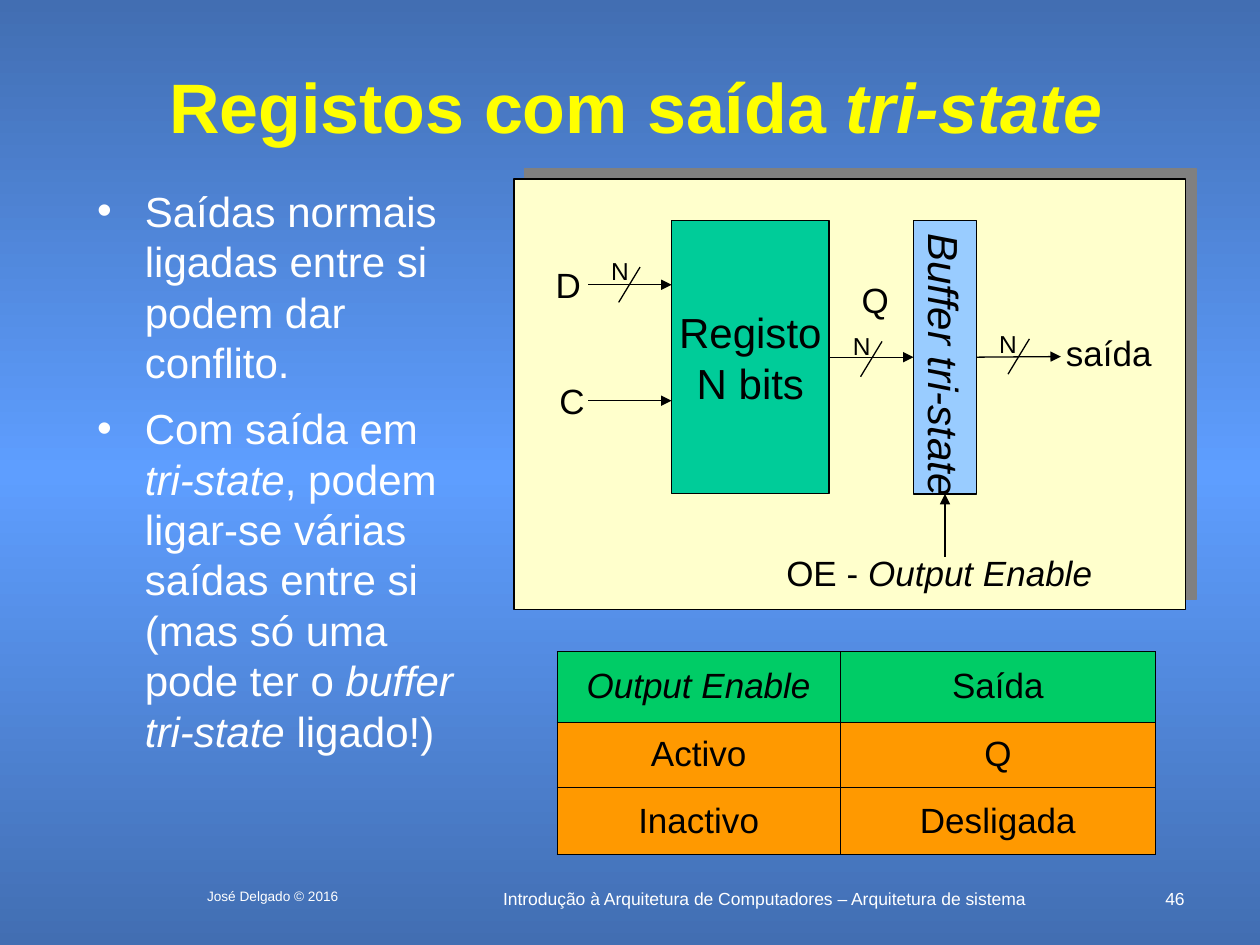
import copy

import pptx
from lxml import etree
from pptx.dml.color import RGBColor
from pptx.enum.shapes import MSO_CONNECTOR, MSO_SHAPE
from pptx.enum.text import MSO_ANCHOR, PP_ALIGN
from pptx.oxml.ns import qn
from pptx.util import Inches, Pt

WHITE = RGBColor(0xFF, 0xFF, 0xFF)
BLACK = RGBColor(0, 0, 0)
YELLOW = RGBColor(0xFF, 0xFF, 0x00)
CREAM = RGBColor(0xFF, 0xFF, 0xCC)
TEAL = RGBColor(0x00, 0xCC, 0x99)
SKY = RGBColor(0x99, 0xCC, 0xFF)
GREEN = RGBColor(0x00, 0xCC, 0x66)
ORANGE = RGBColor(0xFF, 0x99, 0x00)
DEEP_BLUE = RGBColor(0x42, 0x6E, 0xB2)
BRIGHT_BLUE = RGBColor(0x5E, 0x9E, 0xFF)

# Content: a paragraph is a list of (text, italic) spans
TITLE = [("Registos com saída ", False), ("tri-state", True)]
BULLETS = [
    [("Saídas normais ligadas entre si podem dar conflito.", False)],
    [("Com saída em ", False), ("tri-state", True),
     (", podem ligar-se várias saídas entre si (mas só uma pode ter o ", False),
     ("buffer tri-state", True), (" ligado!)", False)],
]
FOOTERS = [  # text, place, size, alignment
    ("José Delgado © 2016", (1.33, 7, 1.67, 0.25), 7.8, PP_ALIGN.CENTER),
    ("Introdução à Arquitetura de Computadores – Arquitetura de sistema",
     (3.33, 7, 5.47, 0.25), 10, PP_ALIGN.CENTER),
    ("46", (9.08, 7, 0.42, 0.17), 10, PP_ALIGN.RIGHT),
]
SIGNALS = [  # spans, place
    ([("D", False)], (4.31, 2.04, 0.4, 0.44)),
    ([("C", False)], (4.34, 2.96, 0.4, 0.44)),
    ([("Q", False)], (6.74, 2.16, 0.41, 0.44)),
    ([("saída", False)], (8.36, 2.58, 0.88, 0.44)),
    ([("OE - ", False), ("Output Enable", True)], (6.14, 4.33, 2.63, 0.44)),
]
BUS_MARKS = [  # top left of the N label, top right of the slash
    ((4.75, 1.98), (5.08, 2.12)),
    ((6.67, 2.58), (7, 2.71)),
    ((7.83, 2.56), (8.17, 2.69)),
]
TABLE = [("Output Enable", "Saída"), ("Activo", "Q"), ("Inactivo", "Desligada")]
COLUMN_WIDTHS = [2.25, 2.5]
ROW_HEIGHTS = [0.56, 0.52, 0.53]


def inches(place):
    return [Inches(value) for value in place]


def write(para, spans, size, color, align=PP_ALIGN.CENTER, bold=False):
    para.alignment = align
    font = para.font
    font.name, font.size, font.bold = "Arial", Pt(size), bold
    font.color.rgb = color
    for text, italic in spans:
        span = para.add_run()
        span.text = text
        if italic:
            span.font.italic = True


def add_label(spans, place, size, color=BLACK, align=PP_ALIGN.CENTER, wrap=False):
    frame = page.shapes.add_textbox(*inches(place)).text_frame
    frame.word_wrap = wrap
    write(frame.paragraphs[0], spans, size, color, align)


def add_block(place, fill, lines=(), line_width=0.75):
    block = page.shapes.add_shape(MSO_SHAPE.RECTANGLE, *inches(place))
    block.shadow.inherit = False
    block.fill.solid()
    block.fill.fore_color.rgb = fill
    block.line.color.rgb = BLACK
    block.line.width = Pt(line_width)
    frame = block.text_frame
    frame.word_wrap = False
    frame.vertical_anchor = MSO_ANCHOR.MIDDLE
    for index, spans in enumerate(lines):
        para = frame.add_paragraph() if index else frame.paragraphs[0]
        write(para, spans, 24, BLACK)
    return block


def add_wire(start, end, arrow=True):
    wire = page.shapes.add_connector(
        MSO_CONNECTOR.STRAIGHT, *inches(start), *inches(end))
    wire.line.color.rgb = BLACK
    wire.line.width = Pt(0.75)
    if arrow:
        etree.SubElement(wire.line._get_or_add_ln(), qn("a:tailEnd"), type="triangle")
    etree.SubElement(wire.element.spPr, qn("a:effectLst"))
    return wire


deck = pptx.Presentation()
deck.slide_width, deck.slide_height = Inches(10), Inches(7.5)
page = deck.slides.add_slide(deck.slide_layouts[1])

# Background: blue, brightest in the middle
backdrop = page.background.fill
backdrop.gradient()
backdrop.gradient_angle = 270
stop_list = page.element.find(".//" + qn("a:gsLst"))
stop_list.append(copy.deepcopy(stop_list[0]))
for stop, position, color in zip(backdrop.gradient_stops, (0, 0.5, 1),
                                 (DEEP_BLUE, BRIGHT_BLUE, DEEP_BLUE)):
    stop.position = position
    stop.color.rgb = color

# Title and bullet list
title, body = page.placeholders
title.left, title.top, title.width, title.height = inches((0.52, 0.5, 9.05, 0.67))
title.text_frame.vertical_anchor = MSO_ANCHOR.MIDDLE
write(title.text_frame.paragraphs[0], TITLE, 40, YELLOW, bold=True)

body.left, body.top, body.width, body.height = inches((0.67, 1.42, 3.08, 5.17))
for index, spans in enumerate(BULLETS):
    para = body.text_frame.add_paragraph() if index else body.text_frame.paragraphs[0]
    props = para._p.get_or_add_pPr()
    props.set("marL", str(Inches(0.38)))
    props.set("indent", str(Inches(-0.38)))
    bullet_color = etree.SubElement(props, qn("a:buClr"))
    etree.SubElement(bullet_color, qn("a:srgbClr"), val=str(WHITE))
    etree.SubElement(props, qn("a:buChar"), char="•")
    para.space_before = Pt(9 if index else 0)
    write(para, spans, 24, WHITE, PP_ALIGN.LEFT)

# Footer
for text, place, size, align in FOOTERS:
    add_label([(text, False)], place, size, WHITE, align, wrap=True)

# Diagram panel with a hard grey shadow to the upper right
panel = add_block((4.08, 1.42, 5.33, 3.42), CREAM)
effects = panel.element.spPr.find(qn("a:effectLst"))
shadow = etree.SubElement(effects, qn("a:outerShdw"), blurRad="0",
                          dist=str(Pt(8.5)), dir=str(315 * 60000), algn="ctr")
etree.SubElement(shadow, qn("a:srgbClr"), val="808080")

# Register and tri-state buffer
register = add_block((5.33, 1.75, 1.25, 2.17), TEAL,
                     [[("Registo", False)], [("N bits", False)]])
buffer = add_block((7.25, 1.75, 0.5, 2.17), SKY, [[("Buffer tri-state", True)]], 1)
frame = buffer.text_frame
frame.margin_left = frame.margin_right = Inches(0.05)
frame.margin_top = frame.margin_bottom = Inches(0.1)
frame._txBody.bodyPr.set("vert", "eaVert")

# Wires
for y in (2.26, 3.18):
    add_wire((4.67, y), (5.33, y))
data_wire = add_wire((6.58, 2.83), (7.25, 2.83))
data_wire.begin_connect(register, 3)
data_wire.end_connect(buffer, 1)
add_wire((7.75, 2.83), (8.42, 2.83)).begin_connect(buffer, 3)
add_wire((7.5, 4.42), (7.5, 3.92)).end_connect(buffer, 2)

# Signal names and bus widths
for spans, place in SIGNALS:
    add_label(spans, place, 20)
for corner, (x, y) in BUS_MARKS:
    add_wire((x, y), (x - 0.17, y + 0.28), arrow=False)
    add_label([("N", False)], (*corner, 0.34, 0.34), 14)

# Output table
table = page.shapes.add_table(
    len(TABLE), len(COLUMN_WIDTHS),
    *inches((4.42, 5.17, sum(COLUMN_WIDTHS), sum(ROW_HEIGHTS)))).table
for column, width in zip(table.columns, COLUMN_WIDTHS):
    column.width = Inches(width)
for row, height in zip(table.rows, ROW_HEIGHTS):
    row.height = Inches(height)
for r, texts in enumerate(TABLE):
    for c, text in enumerate(texts):
        cell = table.cell(r, c)
        cell.vertical_anchor = MSO_ANCHOR.MIDDLE
        write(cell.text_frame.paragraphs[0], [(text, (r, c) == (0, 0))], 20, BLACK)
        props = cell._tc.get_or_add_tcPr()
        for side in ("a:lnL", "a:lnR", "a:lnT", "a:lnB"):
            border = etree.SubElement(props, qn(side), w=str(Pt(0.45)))
            paint = etree.SubElement(border, qn("a:solidFill"))
            etree.SubElement(paint, qn("a:srgbClr"), val=str(BLACK))
        cell.fill.solid()
        cell.fill.fore_color.rgb = ORANGE if r else GREEN

deck.save("out.pptx")
